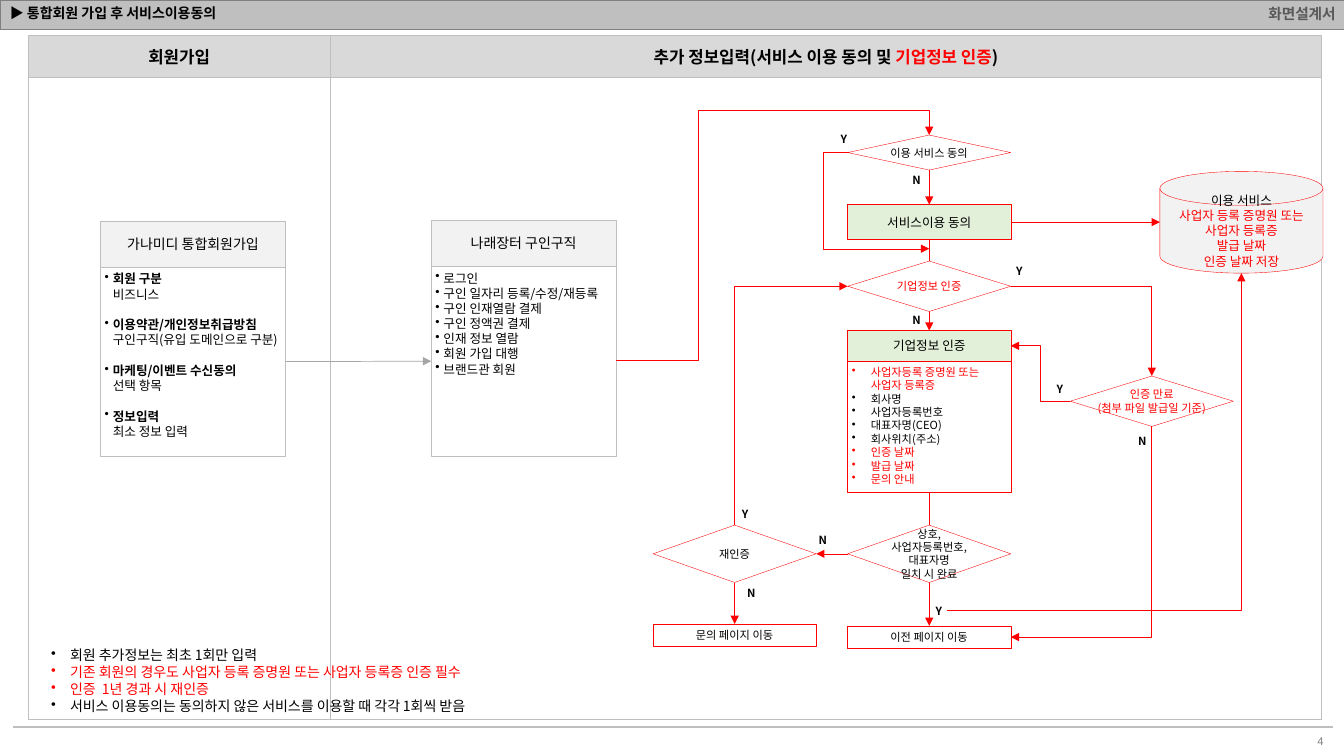
from copy import deepcopy

from lxml.etree import SubElement
from pptx import Presentation
from pptx.dml.color import RGBColor
from pptx.enum.shapes import MSO_CONNECTOR, MSO_SHAPE
from pptx.enum.text import MSO_ANCHOR, PP_ALIGN
from pptx.oxml.ns import qn
from pptx.util import Pt

BLACK = RGBColor(0, 0, 0)
WHITE = RGBColor(255, 255, 255)
RED = RGBColor(255, 0, 0)
GREEN = RGBColor(0xE2, 0xF0, 0xD9)
PALE = RGBColor(0xF2, 0xF2, 0xF2)
HEAD_GRAY = RGBColor(0xD9, 0xD9, 0xD9)
LINE_GRAY = RGBColor(0xBF, 0xBF, 0xBF)
ARROW_GRAY = RGBColor(0xA6, 0xA6, 0xA6)
MID_GRAY = RGBColor(0x80, 0x80, 0x80)
DARK_GRAY = RGBColor(0x59, 0x59, 0x59)
KOREAN, LATIN = "Noto Sans CJK KR", "Arial"
TOP, LEFT, BOTTOM, RIGHT = range(4)


def style_run(run, size, color=BLACK, bold=False, name=KOREAN):
    for key, value in {"name": name, "size": Pt(size), "bold": bold}.items():
        setattr(run.font, key, value)
    run.font.color.rgb = color
    SubElement(run._r.rPr, qn("a:ea"), typeface=name)


def write(frame, paragraphs, size, align=PP_ALIGN.LEFT, indent=0, gap=0, **style):
    """Each paragraph is a text or a list of (text, style) runs; a line break ends a run with \\n."""
    for index, content in enumerate(paragraphs):
        paragraph = frame.paragraphs[0] if index == 0 else frame.add_paragraph()
        paragraph.alignment = align
        if index and gap:
            paragraph.space_before = Pt(gap)
        if indent:
            props = paragraph._p.get_or_add_pPr()
            props.set("marL", str(Pt(indent)))
            props.set("indent", str(-Pt(indent)))
            SubElement(props, qn("a:buChar"), char="•")
        for text, extra in [(content, {})] if isinstance(content, str) else content:
            run = paragraph.add_run()
            run.text = text.rstrip("\n")
            style_run(run, size, **{**style, **extra})
            if text.endswith("\n"):
                paragraph.add_line_break()
                paragraph._p[-1].append(deepcopy(run._r.rPr))


def set_frame(frame, margins, anchor=MSO_ANCHOR.TOP, wrap=True):
    sides = ("margin_left", "margin_top", "margin_right", "margin_bottom")
    for side, margin in zip(sides, margins):
        setattr(frame, side, Pt(margin))
    frame.vertical_anchor = anchor
    frame.word_wrap = wrap


def add_text(slide, box, paragraphs, size, margins=(7.2, 3.6, 7.2, 3.6),
             anchor=MSO_ANCHOR.TOP, wrap=True, **style):
    frame = slide.shapes.add_textbox(*map(Pt, box)).text_frame
    set_frame(frame, margins, anchor, wrap)
    write(frame, paragraphs, size, **style)


def add_node(slide, kind, box, paragraphs, size, fill=WHITE, line=RED,
             margins=(0, 0, 0, 0), anchor=MSO_ANCHOR.MIDDLE, align=PP_ALIGN.CENTER, **style):
    node = slide.shapes.add_shape(kind, *map(Pt, box))
    node.shadow.inherit = False
    node.fill.solid()
    node.fill.fore_color.rgb = fill
    node.line.color.rgb = line
    node.line.width = Pt(0.25)
    set_frame(node.text_frame, margins, anchor, kind == MSO_SHAPE.RECTANGLE)
    write(node.text_frame, paragraphs, size, align=align, **style)
    return node


def add_line(slide, points, kind=MSO_CONNECTOR.STRAIGHT, color=RED, width=0.25, arrow="tailEnd"):
    line = slide.shapes.add_connector(kind, *map(Pt, points))
    line.line.color.rgb = color
    line.line.width = Pt(width)
    if arrow:
        SubElement(line.line._ln, qn("a:" + arrow), type="triangle")
    SubElement(line._element.spPr, qn("a:effectLst"))
    return line


def join(slide, start, start_side, end, end_side, **style):
    line = add_line(slide, (0, 0, 0, 0), **style)
    line.begin_connect(start, start_side)
    line.end_connect(end, end_side)


def add_elbow(slide, points, bends, adjust=(), **style):
    line = add_line(slide, points, MSO_CONNECTOR.ELBOW, **style)
    geometry = line._element.spPr.find(qn("a:prstGeom"))
    geometry.set("prst", f"bentConnector{bends}")
    guides = geometry.find(qn("a:avLst"))
    for number, share in enumerate(adjust, 1):
        SubElement(guides, qn("a:gd"), name=f"adj{number}", fmla=f"val {round(share * 100000)}")


def add_grid(slide, box, widths, heights, border, fills):
    grid = slide.shapes.add_table(len(heights), len(widths), *map(Pt, box)).table
    grid.first_row = grid.horz_banding = False
    for column, width in zip(grid.columns, widths):
        column.width = Pt(width)
    for row, height, fill in zip(grid.rows, heights, fills):
        row.height = Pt(height)
        for cell in row.cells:
            cell.vertical_anchor = MSO_ANCHOR.MIDDLE
            for side in ("lnL", "lnR", "lnT", "lnB"):
                edge = SubElement(cell._tc.get_or_add_tcPr(), qn("a:" + side), w=str(Pt(0.25)))
                SubElement(SubElement(edge, qn("a:solidFill")), qn("a:srgbClr"), val=str(border))
            cell.fill.solid()
            cell.fill.fore_color.rgb = fill
    return grid


def add_header(slide, left, top, width, height):
    bar = add_grid(slide, (left, top, width, height), [width], [height], MID_GRAY, [LINE_GRAY]).cell(0, 0)
    for side, margin in {"left": 6, "top": 1.5, "right": 6, "bottom": 1.5}.items():
        setattr(bar, "margin_" + side, Pt(margin))
    write(bar.text_frame, ["화면설계서"], 10.5, PP_ALIGN.RIGHT, color=DARK_GRAY, bold=True, name=LATIN)
    bar.text_frame.paragraphs[0].space_before = Pt(2)
    add_text(slide, (left, top - 1, 714, height), ["▶ 통합회원 가입 후 서비스이용동의"], 10,
             anchor=MSO_ANCHOR.MIDDLE, bold=True)


def add_footer(slide, left, top, width):
    add_line(slide, (left, top, left + width, top), color=LINE_GRAY, width=0.75, arrow=None)
    add_text(slide, (left + width - 34, top + 2, 34, 15), ["4"], 8, align=PP_ALIGN.RIGHT,
             color=MID_GRAY, name=LATIN)


def add_stages(slide, left, top, width, height):
    join_width, head = 216, 29.5
    stages = add_grid(slide, (left, top, width, height), [join_width, width - join_width],
                      [head, height - head], LINE_GRAY, [HEAD_GRAY, WHITE])
    titles = ["회원가입", [("추가 정보입력(서비스 이용 동의 및 ", {}), ("기업정보 인증", {"color": RED}), (")", {})]]
    for column, title in enumerate(titles):
        write(stages.cell(0, column).text_frame, [title], 12, PP_ALIGN.CENTER, bold=True)


def add_card(slide, left, top, width, height, title, items, head=33, head_size=10, size=9,
             head_fill=PALE, line=LINE_GRAY, indent=5.75, gap=0):
    header = add_node(slide, MSO_SHAPE.RECTANGLE, (left, top, width, head), [title], head_size, head_fill, line)
    body = add_node(slide, MSO_SHAPE.RECTANGLE, (left, top + head, width, height - head), items, size,
                    WHITE, line, (3, 3, 0, 3), MSO_ANCHOR.TOP, PP_ALIGN.LEFT, indent=indent, gap=gap)
    return header, body


def add_flow(slide, left, top):
    width, retry_x, main_x, expiry_x, store_x = 116.5, 0, 139, 298, 362
    middle = width / 2

    def node(kind, x, y, height, *lines, size=8, **style):
        return add_node(slide, kind, (left + x, top + y, width, height), lines, size, **style)

    def elbow(x1, y1, x2, y2, bends, adjust=(), **style):
        add_elbow(slide, (left + x1, top + y1, left + x2, top + y2), bends, adjust, **style)

    box, decision = MSO_SHAPE.RECTANGLE, MSO_SHAPE.FLOWCHART_DECISION
    # Boxes, and the two arrows that pass behind decisions
    red = {"color": RED}
    fields = [[("사업자등록 증명원 또는 사업자 등록증", red)], "회사명", "사업자등록번호", "대표자명(CEO)",
              "회사위치(주소)"] + [[(field, red)] for field in ("인증 날짜", "발급 날짜", "문의 안내")]
    company_head, company_body = add_card(slide, left + main_x, top + 157.7, width, 115.2, "기업정보 인증", fields,
                                          21.6, 9, 8, GREEN, RED, 13.5)
    consent = node(box, main_x, 67.7, 25, "서비스이용 동의", size=9, fill=GREEN)
    previous_page = node(box, main_x, 368.6, 16, "이전 페이지 이동")
    inquiry_page = node(box, retry_x, 367.2, 16, "문의 페이지 이동")
    join(slide, consent, BOTTOM, company_head, TOP)
    join(slide, company_body, BOTTOM, previous_page, TOP)

    # Decisions and store
    agreed = node(decision, main_x, 18, 25, "이용 서비스 동의")
    node(decision, main_x, 108, 36, "기업정보 인증", color=RED)
    matched = node(decision, main_x, 296.6, 41, "상호,", "사업자등록번호,", "대표자명", "일치 시 완료")
    retry = node(decision, retry_x, 296.6, 41, "재인증")
    node(decision, expiry_x, 190.1, 36, "인증 만료", "(첨부 파일 발급일 기준)", color=RED)
    node(MSO_SHAPE.FLOWCHART_MAGNETIC_DISK, store_x, 43.9, 72.7, [("이용 서비스", {"color": BLACK})],
         "사업자 등록 증명원 또는", "사업자 등록증", "발급 날짜", "인증 날짜 저장", size=9, fill=PALE, color=RED)

    # Straight arrows
    join(slide, agreed, BOTTOM, consent, TOP, width=0.5)
    join(slide, matched, LEFT, retry, RIGHT)
    join(slide, retry, BOTTOM, inquiry_page, TOP, width=0.5)
    saved = add_line(slide, (left, top + 80.2, left + store_x, top + 80.2))
    saved.begin_connect(consent, RIGHT)

    # Bent arrows
    main_right, main_middle = main_x + width, main_x + middle
    expiry_middle = expiry_x + middle
    elbow(-26.5, 179.3, main_middle, 18, 4, (0.263, 1.111), width=0.5)
    elbow(main_x, 30.5, main_middle, 99.2, 3, (-0.307,))
    elbow(main_x, 126, retry_x + middle, 296.6, 2, arrow="headEnd")
    elbow(main_right, 126, expiry_middle, 190.1, 2, width=0.5)
    elbow(expiry_x, 208.1, main_right, 168.5, 3, (0.5,), width=0.5)
    elbow(main_right, 376.6, expiry_middle, 226.1, 2, width=0.5, arrow="headEnd")
    elbow(209.6, 357.8, store_x + middle, 116.6, 2, width=0.5)

    # Answers
    answers = {"Y": [(131, 13), (256.4, 107.3), (198.8, 350), (60.5, 280.8), (285.2, 191.5)],
               "N": [(182.2, 42.5), (182.2, 142.5), (115.3, 299.5), (64.1, 337), (343.5, 229)]}
    for answer, places in answers.items():
        for x, y in places:
            add_text(slide, (left + x, top + y, 12, 15), [answer], 8, (3, 3, 3, 3), wrap=False, bold=True)


def add_notes(slide, left, top, width, height):
    red = {"color": RED}
    add_text(slide, (left, top, width, height), [
        "회원 추가정보는 최초 1회만 입력",
        [("기존 회원의 경우도 사업자 등록 증명원 또는 사업자 등록증 인증 필수", red)],
        [("인증  1년 경과 시 재인증", red)],
        "서비스 이용동의는 동의하지 않은 서비스를 이용할 때 각각 1회씩 받음"], 10, wrap=False, indent=13.5)


def main():
    deck = Presentation()
    deck.slide_width, deck.slide_height = Pt(960), Pt(540)
    slide = deck.slides.add_slide(deck.slide_layouts[6])
    add_header(slide, 0, 0, 960, 20.5)
    add_footer(slide, 9.5, 519.3, 943)
    add_stages(slide, 20, 25.3, 924, 488.4)
    terms = [("회원 구분", "비즈니스"), ("이용약관/개인정보취급방침", "구인구직(유입 도메인으로 구분)"),
             ("마케팅/이벤트 수신동의", "선택 항목"), ("정보입력", "최소 정보 입력")]
    items = [[(term + "\n", {"bold": True}), (detail, {})] for term, detail in terms]
    _, signup = add_card(slide, 71.8, 157.8, 132, 168, "가나미디 통합회원가입", items, gap=11)
    _, jobs = add_card(slide, 308, 157.2, 132, 168.6, "나래장터 구인구직", [
        "로그인", "구인 일자리 등록/수정/재등록", "구인 인재열람 결제", "구인 정액권 결제",
        "인재 정보 열람", "회원 가입 대행", "브랜드관 회원"])
    join(slide, signup, RIGHT, jobs, LEFT, color=ARROW_GRAY, width=0.5)
    add_flow(slide, 466.5, 78.5)
    add_notes(slide, 29.5, 458.6, 348.5, 55.4)
    deck.save("out.pptx")


if __name__ == "__main__":
    main()
